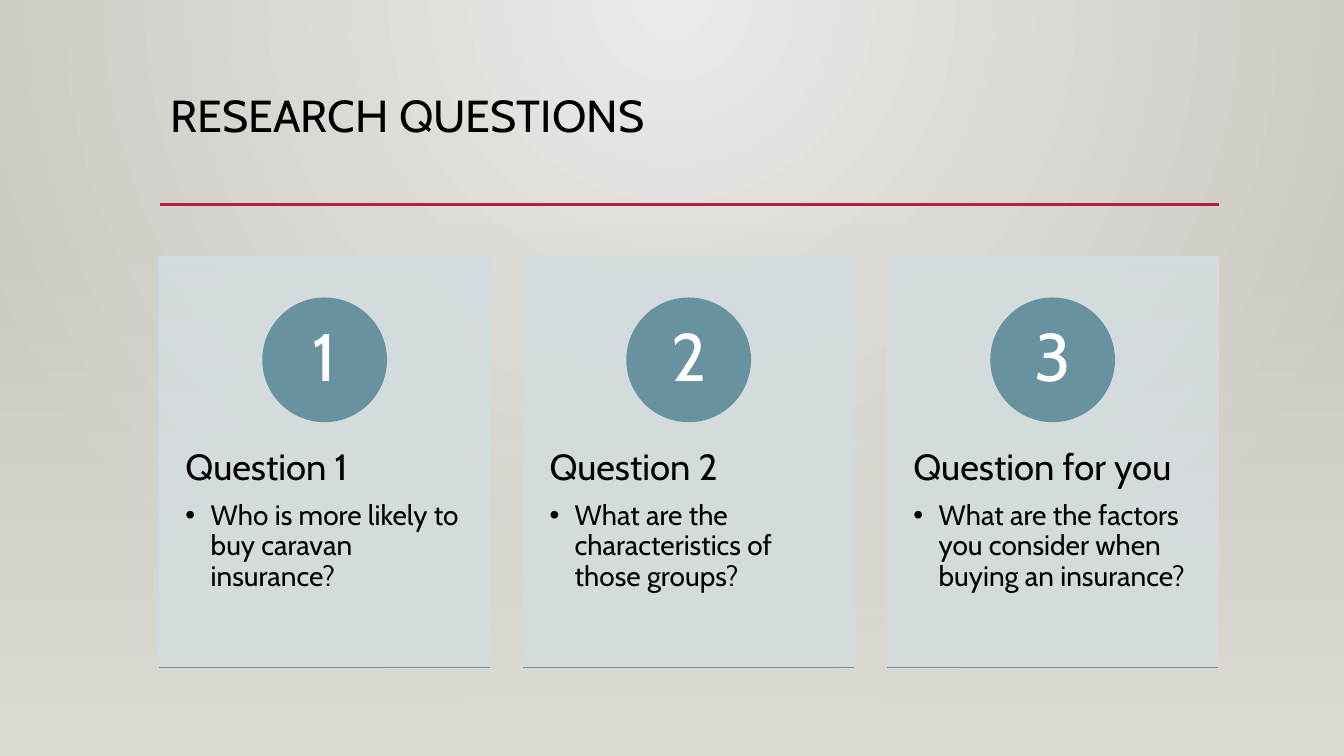
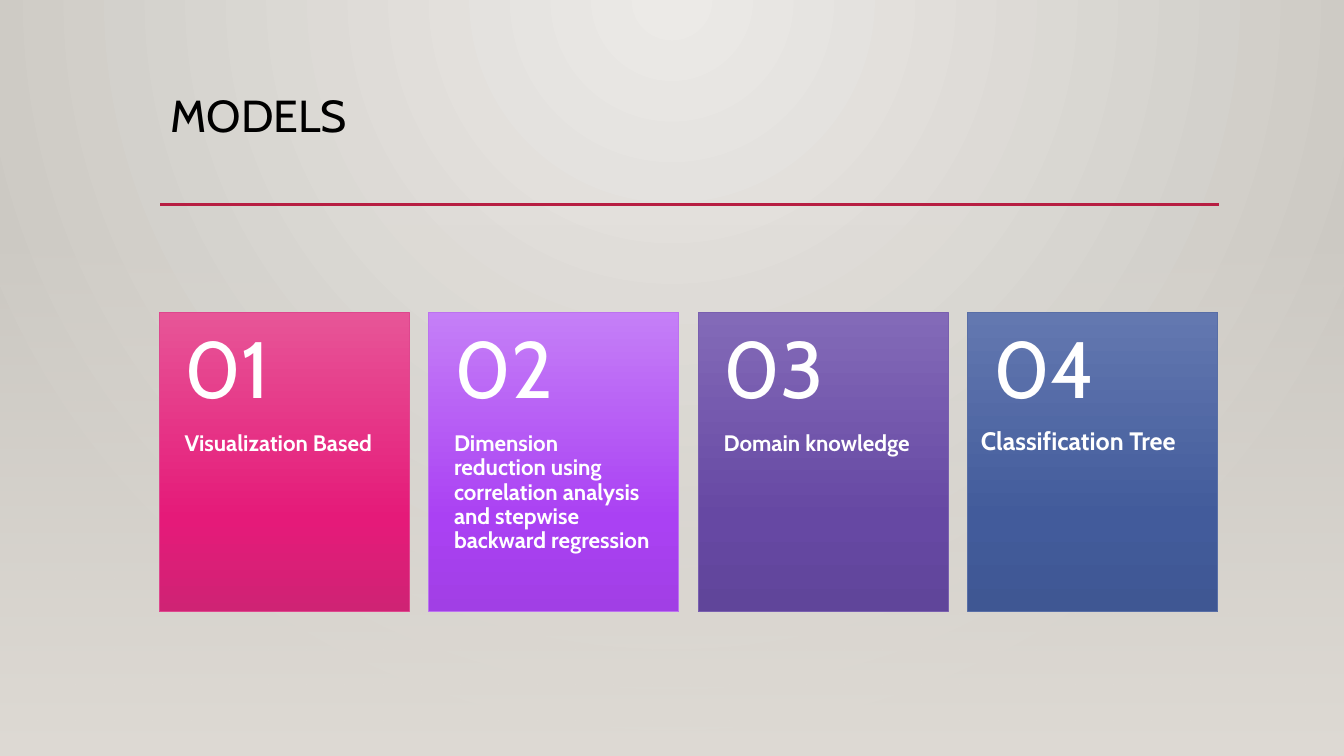
import dataclasses

import lxml.etree
import pptx
import pptx.dml.color
import pptx.enum.shapes
import pptx.enum.text
import pptx.oxml.ns
import pptx.util

Inches = pptx.util.Inches
Pt = pptx.util.Pt
qn = pptx.oxml.ns.qn
Shape = pptx.enum.shapes.MSO_SHAPE
Anchor = pptx.enum.text.MSO_ANCHOR
Align = pptx.enum.text.PP_ALIGN


@dataclasses.dataclass(frozen=True)
class Theme:
    font: str = "Cabin"
    black: str = "000000"
    white: str = "FFFFFF"
    red: str = "B71E42"
    teal: str = "6892A0"
    card: str = "D4DCDF"
    glow: tuple = ((0, "ECEAE7", 100), (100, "CAC7C1", 100))
    veil: tuple = ((0, "DFDBD5", 0), (100, "DFDBD5", 100))
    title: int = 32
    head: int = 26
    body: int = 20
    badge: int = 48
    digit: int = 57
    label: int = 16
    large: int = 18
    left: float = 1.59
    grid: float = 1.58
    span: float = 10.5


T = Theme()

CARDS = (
    ("1", "Question 1", "Who is more likely to buy caravan insurance?"),
    ("2", "Question 2", "What are the characteristics of those groups?"),
    ("3", "Question for you",
     "What are the factors you consider when buying an insurance?"),
)

# Label, three gradient colours, border colour
TILES = (
    ("Visualization Based", ("E75597", "E51A79", "CF2374"), "DE478E"),
    ("Dimension reduction using correlation analysis "
     "and stepwise backward regression",
     ("C57FF7", "AA41F3", "A13FE5"), "BC72F0"),
    ("Domain knowledge", ("836AB8", "6648A3", "60459A"), "795FAF"),
    ("Classification Tree", ("6378B0", "425B9B", "3F5793"), "586EA6"),
)


def rgb(code):
    return pptx.dml.color.RGBColor.from_string(code)


def sub(node, tag, **attrs):
    return lxml.etree.SubElement(
        node, qn(tag), {key: str(val) for key, val in attrs.items()})


def lefts(count, width):
    """Left edges of equal boxes that fill the content span."""
    step = (T.span - width) / (count - 1)
    return [T.grid + step * i for i in range(count)]


# Fills and lines

def blend(fill, props, stops, radial=False):
    """Set a gradient of (position, colour, opacity) stops."""
    fill.gradient()
    grad = props.find(qn("a:gradFill"))
    grad.clear()
    grad.set("rotWithShape", "1")
    group = sub(grad, "a:gsLst")
    for pos, code, alpha in stops:
        stop = sub(group, "a:gs", pos=pos * 1000)
        tone = sub(stop, "a:srgbClr", val=code)
        if alpha < 100:
            sub(tone, "a:alpha", val=alpha * 1000)
    if radial:
        way = sub(grad, "a:path", path="circle")
        sub(way, "a:fillToRect", l=43000, t=0, r=43000, b=100000)
    else:
        sub(grad, "a:lin", ang=5400000, scaled=0)


def fade(shape, alpha):
    for tone in shape.element.spPr.iter(qn("a:srgbClr")):
        sub(tone, "a:alpha", val=alpha * 1000)


def block(slide, kind, box, fill=None, stops=None, edge=None, width=1.25):
    shape = slide.shapes.add_shape(kind, *map(Inches, box))
    shape.shadow.inherit = False
    if stops:
        blend(shape.fill, shape.element.spPr, stops)
    else:
        shape.fill.solid()
        shape.fill.fore_color.rgb = rgb(fill)
    if edge:
        shape.line.color.rgb = rgb(edge)
        shape.line.width = Pt(width)
    else:
        shape.line.fill.background()
    return shape


def rule(slide, left, top, width, color, weight):
    line = slide.shapes.add_connector(
        pptx.enum.shapes.MSO_CONNECTOR.STRAIGHT,
        *map(Inches, (left, top, left + width, top)))
    line.line.color.rgb = rgb(color)
    line.line.width = Pt(weight)
    sub(line.element.spPr, "a:effectLst")


# Text

def frame(shape, pads=(0.1, 0.05, 0.1, 0.05), anchor=Anchor.TOP):
    text = shape.text_frame
    text.word_wrap = True
    text.auto_size = pptx.enum.text.MSO_AUTO_SIZE.NONE
    text.vertical_anchor = anchor
    (text.margin_left, text.margin_top,
     text.margin_right, text.margin_bottom) = map(Inches, pads)
    return text


def write(para, words, size, color, bold=False, align=Align.LEFT,
          space=0.9, after=0, bullet=False):
    if bullet:
        props = para._p.get_or_add_pPr()
        props.set("marL", str(Inches(0.25)))
        props.set("indent", str(-Inches(0.25)))
        sub(props, "a:buFont", typeface="Arial")
        sub(props, "a:buChar", char="•")
    para.alignment = align
    para.line_spacing = space
    para.space_after = Pt(after)
    run = para.add_run()
    run.text = words
    run.font.name = T.font
    run.font.size = Pt(size)
    run.font.bold = bold
    run.font.color.rgb = rgb(color)


def note(slide, box, pads, anchor=Anchor.TOP):
    shape = slide.shapes.add_textbox(*map(Inches, box))
    return frame(shape, pads, anchor)


# Shared slide parts

def setup(deck):
    """Put the backdrop and the title place in the template."""
    deck.slide_width, deck.slide_height = Inches(13.33), Inches(7.5)
    master = deck.slide_master
    fill = master.background.fill
    blend(fill, master.element.find(".//" + qn("p:bgPr")), T.glow, radial=True)
    layout = deck.slide_layouts.get_by_name("Title Only")
    title = layout.placeholders[0]
    title.left, title.top = Inches(T.left), Inches(0.88)
    title.width, title.height = Inches(T.span), Inches(1.15)
    return layout


def start(deck, layout, words):
    slide = deck.slides.add_slide(layout)
    text = frame(slide.shapes.title)
    write(text.paragraphs[0], words, T.title, T.black)
    rule(slide, T.left, 2.03, T.span, T.red, 2.5)
    block(slide, Shape.RECTANGLE, (0, 2.21, 13.33, 5.29), stops=T.veil)
    return slide


# Content parts

def card(slide, left, width, mark, head, body):
    panel = block(slide, Shape.RECTANGLE, (left, 2.55, width, 4.07),
                  fill=T.card, edge=T.card)
    fade(panel, 90)
    text = note(slide, (left, 4.1, width, 2.44), (0.26, 0.36, 0.26, 0.36))
    write(text.paragraphs[0], head, T.head, T.black, after=9)
    write(text.add_paragraph(), body, T.body, T.black, bullet=True)
    size = 1.22
    disc = block(slide, Shape.OVAL,
                 (left + (width - size) / 2, 2.96, size, size),
                 fill=T.teal, edge=T.teal)
    text = frame(disc, (0.1, 0.01, 0.1, 0.01), Anchor.MIDDLE)
    write(text.paragraphs[0], mark, T.badge, T.white, align=Align.CENTER)
    rule(slide, left, 6.62, width, T.teal, 1)


def tile(slide, left, width, mark, tones, edge):
    stops = [(pos, tone, 100) for pos, tone in zip((0, 69, 100), tones)]
    block(slide, Shape.RECTANGLE, (left, 3.1, width, 2.97),
          stops=stops, edge=edge, width=0.75)
    text = note(slide, (left, 3.1, width, 1.19),
                (0.25, 0.18, 0.25, 0.18), Anchor.MIDDLE)
    write(text.paragraphs[0], mark, T.digit, T.white)


def label(slide, box, pads, words, size, space):
    text = note(slide, box, pads)
    write(text.paragraphs[0], words, size, T.white, bold=True, space=space)


def main():
    deck = pptx.Presentation()
    layout = setup(deck)

    # Research questions
    slide = start(deck, layout, "RESEARCH QUESTIONS")
    width = 3.28
    for left, item in zip(lefts(len(CARDS), width), CARDS):
        card(slide, left, width, *item)

    # Models; the last label is larger and set further left
    slide = start(deck, layout, "MODELS")
    width = 2.48
    spots = lefts(len(TILES), width)
    for i, (left, (words, tones, edge)) in enumerate(zip(spots, TILES), 1):
        tile(slide, left, width, f"{i:02}", tones, edge)
        if i < len(TILES):
            label(slide, (left, 4.29, width, 1.78), (0.25, 0, 0.27, 0.36),
                  words, T.label, 0.9)
        else:
            label(slide, (left + 0.03, 4.17, 2.45, 0.4),
                  (0.1, 0.05, 0.1, 0.05), words, T.large, 1.0)

    deck.save("out.pptx")


if __name__ == "__main__":
    main()
